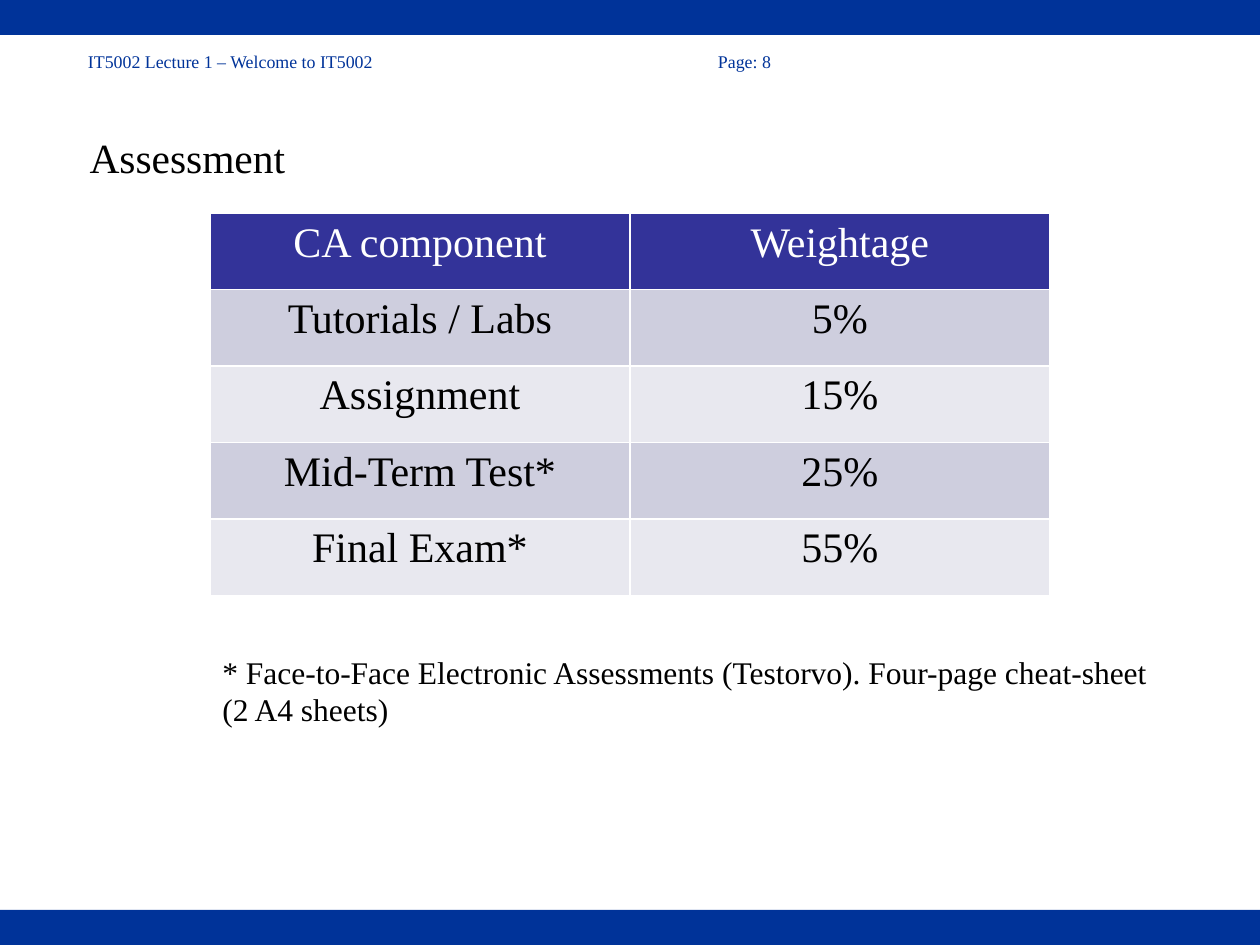
import pptx
import pptx.dml.color
import pptx.enum.shapes
import pptx.enum.text
import pptx.oxml
import pptx.oxml.ns
import pptx.util

Pt = pptx.util.Pt
RGB = pptx.dml.color.RGBColor
ALIGN = pptx.enum.text.PP_ALIGN
NS = pptx.oxml.ns.nsdecls("a")

BLUE = RGB(0x00, 0x33, 0x99)
HEAD = RGB(0x33, 0x33, 0x99)
DARK = RGB(0xCE, 0xCE, 0xDE)
LIGHT = RGB(0xE8, 0xE8, 0xEF)
WHITE = RGB(0xFF, 0xFF, 0xFF)
BLACK = RGB(0, 0, 0)

ROWS = [
    ("CA component", "Weightage"),
    ("Tutorials / Labs", "5%"),
    ("Assignment", "15%"),
    ("Mid-Term Test*", "25%"),
    ("Final Exam*", "55%"),
]


def write(frame, text, size=24, color=BLACK, align=ALIGN.LEFT):
    """Put one formatted paragraph in a text frame and return it."""
    frame.word_wrap = True
    para = frame.paragraphs[0]
    para.alignment = align
    run = para.add_run()
    run.text = text
    run.font.name = "Times New Roman"
    run.font.size = Pt(size)
    run.font.color.rgb = color
    return para


def add_bar(slide, top):
    """Draw a full-width blue bar."""
    bar = slide.shapes.add_shape(
        pptx.enum.shapes.MSO_SHAPE.RECTANGLE, 0, Pt(top), Pt(720), Pt(20))
    bar.shadow.inherit = False
    bar.fill.solid()
    bar.fill.fore_color.rgb = BLUE
    bar.line.fill.background()


def add_text(slide, text, left, top, width, height, **style):
    """Add a text box and return its paragraph."""
    box = slide.shapes.add_textbox(Pt(left), Pt(top), Pt(width), Pt(height))
    return write(box.text_frame, text, **style)


def set_tabs(para, stops):
    """Give a paragraph left tab stops."""
    tabs = "".join(f'<a:tab pos="{Pt(stop)}" algn="l"/>' for stop in stops)
    para._p.get_or_add_pPr().append(
        pptx.oxml.parse_xml(f"<a:tabLst {NS}>{tabs}</a:tabLst>"))


def set_title(slide, text):
    """Place and format the title placeholder."""
    title = slide.shapes.title
    title.left, title.top = Pt(43.2), Pt(44.6)
    title.width, title.height = Pt(513.4), Pt(90)
    frame = title.text_frame
    frame.auto_size = pptx.enum.text.MSO_AUTO_SIZE.NONE
    frame.vertical_anchor = pptx.enum.text.MSO_ANCHOR.MIDDLE
    frame.margin_left = frame.margin_right = Pt(8)
    frame.margin_top = frame.margin_bottom = Pt(4.3)
    write(frame, text, size=23.7)


def set_edges(cell):
    """Draw thin white borders around a cell."""
    props = cell._tc.get_or_add_tcPr()
    for spot, side in enumerate(("lnL", "lnR", "lnT", "lnB")):
        props.insert(spot, pptx.oxml.parse_xml(
            f'<a:{side} {NS} w="{Pt(1)}"><a:solidFill>'
            f'<a:srgbClr val="{WHITE}"/></a:solidFill></a:{side}>'))


def add_grid(slide, rows):
    """Add the table of components and weights."""
    grid = slide.shapes.add_table(
        len(rows), 2, Pt(120), Pt(121.9), Pt(480), Pt(218.5)).table
    for i, row in enumerate(rows):
        fill = HEAD if i == 0 else DARK if i % 2 else LIGHT
        color = BLACK if i else WHITE
        for j, text in enumerate(row):
            cell = grid.cell(i, j)
            cell.fill.solid()
            cell.fill.fore_color.rgb = fill
            para = write(cell.text_frame, text, color=color, align=ALIGN.CENTER)
            para.runs[0].font.bold = False
            set_edges(cell)


def main():
    """Build and save the slide."""
    deck = pptx.Presentation()
    deck.slide_width, deck.slide_height = Pt(720), Pt(540)
    slide = deck.slides.add_slide(deck.slide_layouts[5])
    for top in (520, 0):
        add_bar(slide, top)
    para = add_text(slide, "IT5002 Lecture 1 – Welcome to IT5002\t\t\tPage: 8",
                    43.2, 25.2, 513.4, 19.4, size=10.2, color=BLUE)
    set_tabs(para, (216, 288, 360))
    set_title(slide, "Assessment")
    add_grid(slide, ROWS)
    add_text(slide, "* Face-to-Face Electronic Assessments (Testorvo). "
             "Four-page cheat-sheet (2 A4 sheets)",
             120, 369.4, 545, 51, size=18)
    deck.save("out.pptx")


if __name__ == "__main__":
    main()
